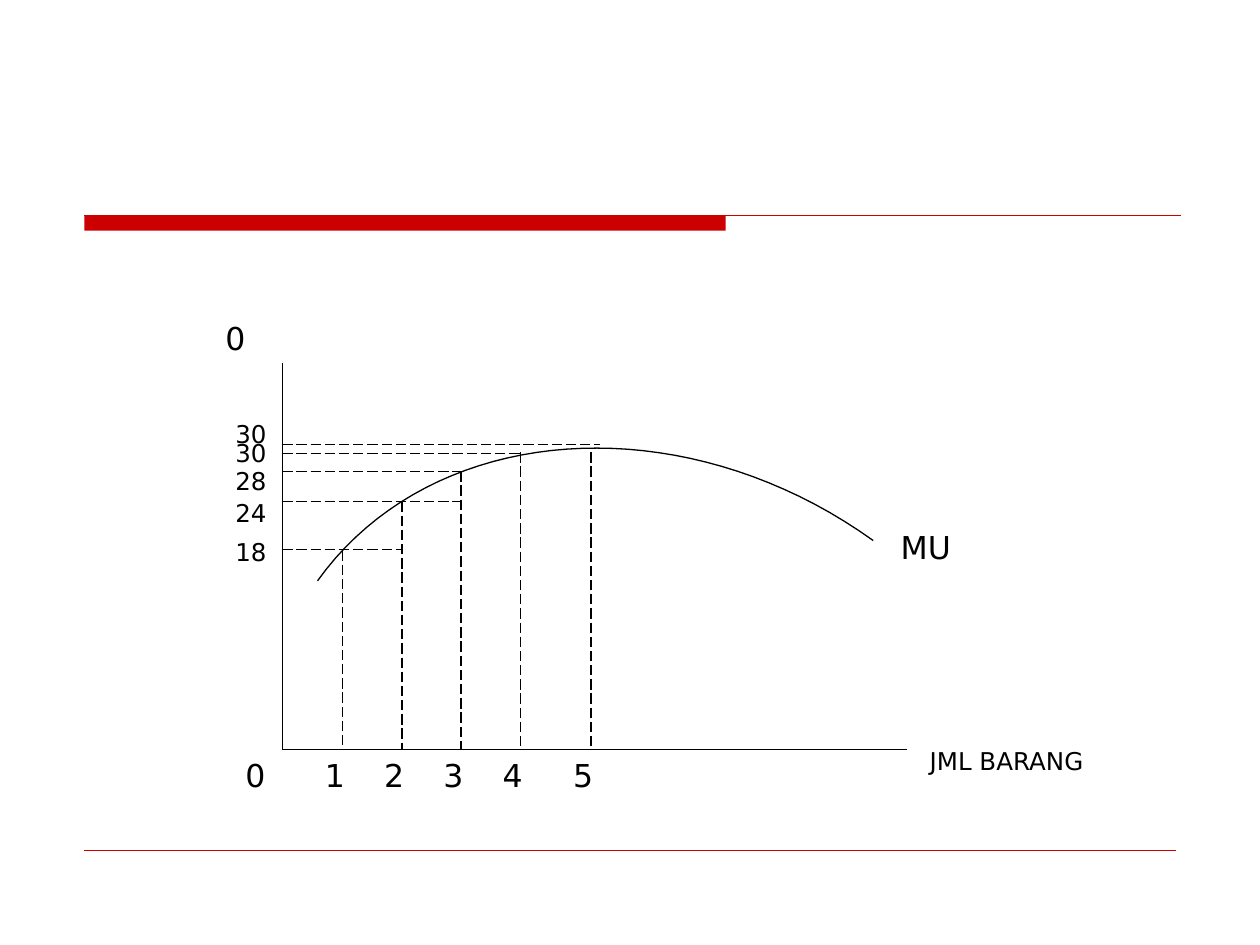
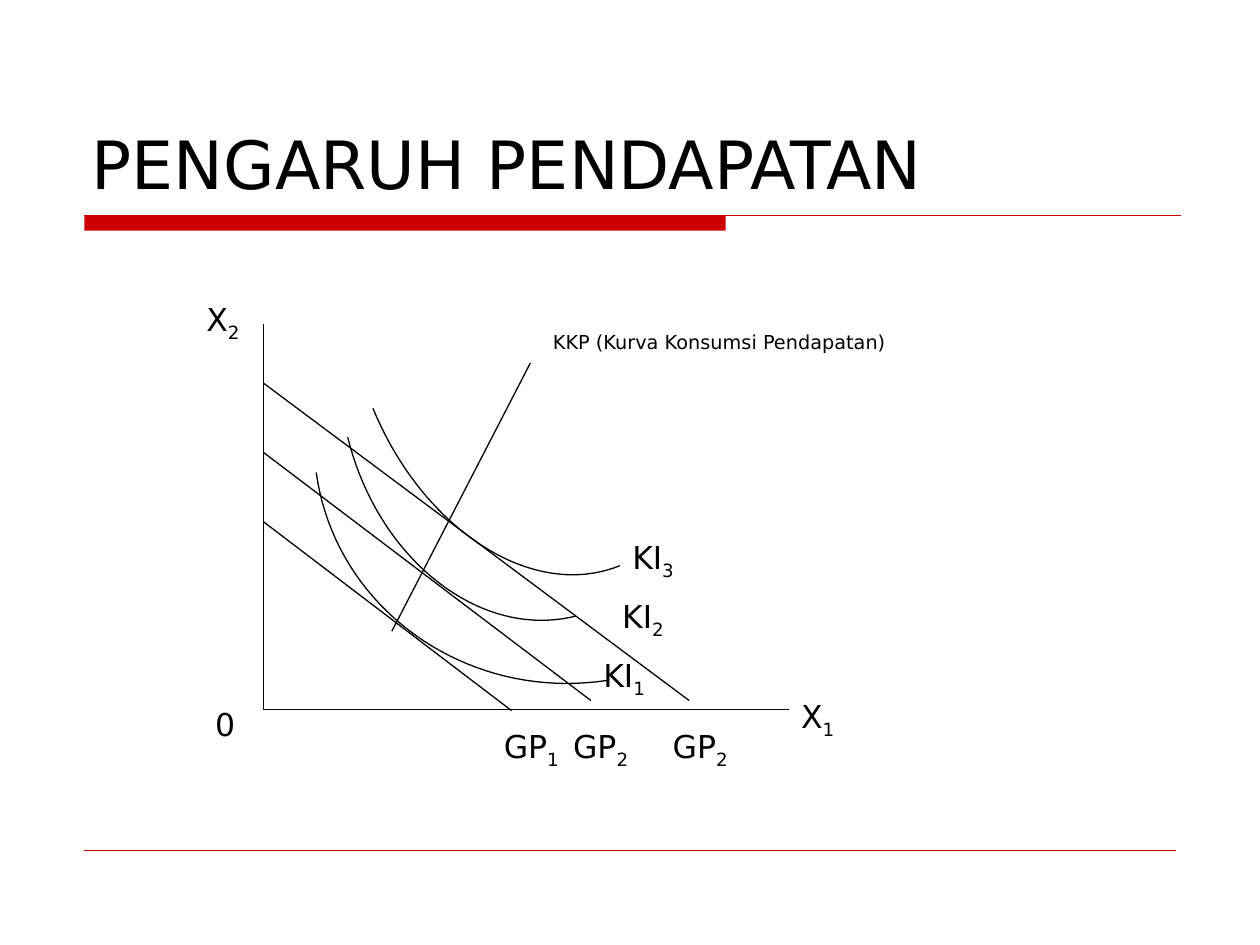
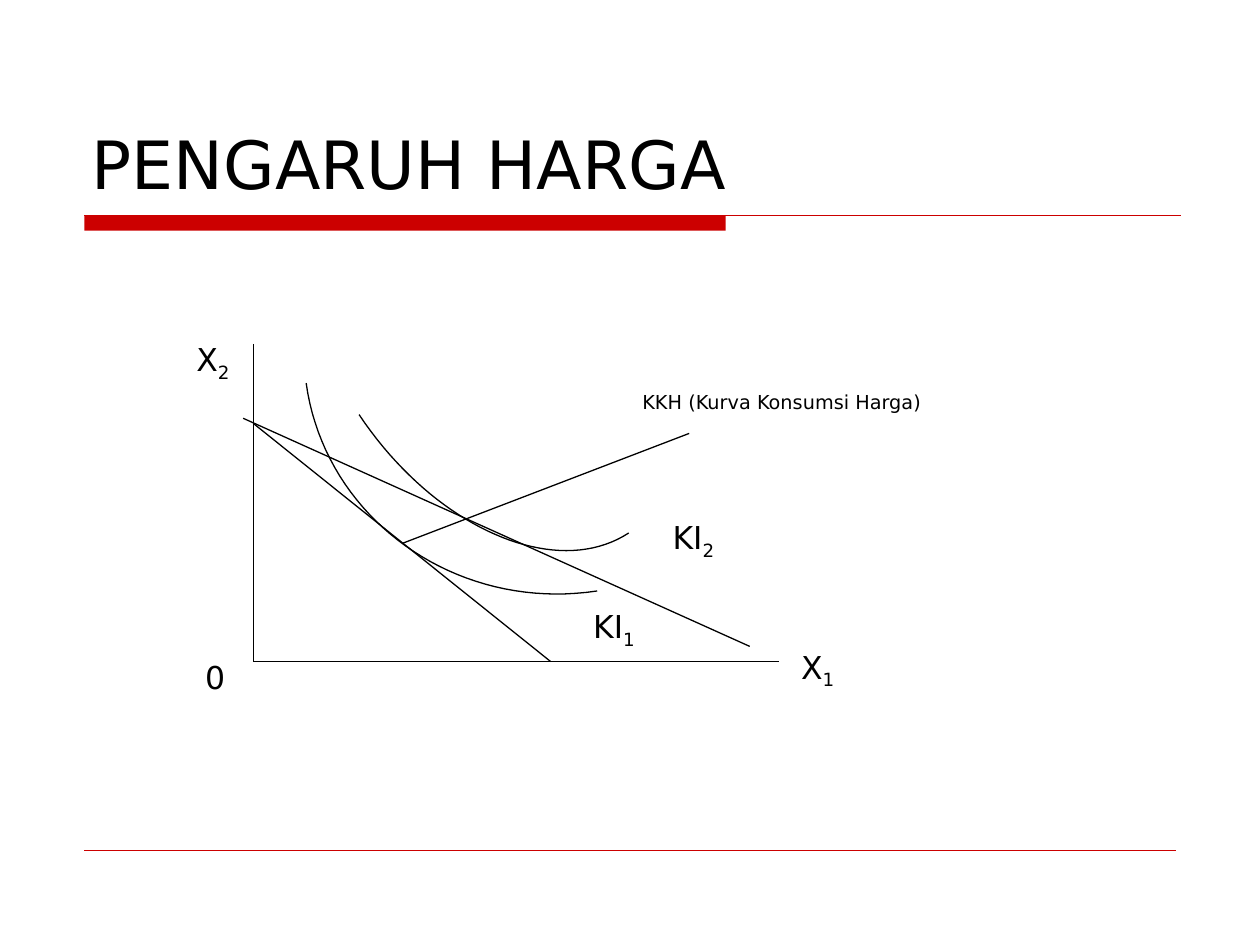
from dataclasses import dataclass
from typing import NamedTuple

import lxml.etree
import pptx
import pptx.dml.color
import pptx.enum.dml
import pptx.enum.shapes
import pptx.enum.text
import pptx.oxml.ns
import pptx.presentation
import pptx.slide
import pptx.util
from pptx.util import Inches

BLACK = pptx.dml.color.RGBColor(0x00, 0x00, 0x00)
RED = pptx.dml.color.RGBColor(0xCC, 0x00, 0x00)
FONT = "DejaVu Sans"
LABEL_SIZE, VALUE_SIZE, NOTE_SIZE, TITLE_SIZE = 18, 14, 11, 38
CURVE_STEPS = 40


class Point(NamedTuple):
    x: float
    y: float


class Segment(NamedTuple):
    start: Point
    end: Point


class Curve(NamedTuple):
    start: Point
    start_control: Point
    end_control: Point
    end: Point

    def at(self, t: float) -> Point:
        weights = ((1 - t) ** 3, 3 * t * (1 - t) ** 2, 3 * t**2 * (1 - t), t**3)
        return Point(
            sum(w * p.x for w, p in zip(weights, self)),
            sum(w * p.y for w, p in zip(weights, self)),
        )


@dataclass
class Label:
    text: str
    left: float
    top: float
    width: float = 0.63
    height: float = 0.44
    size: float = LABEL_SIZE


@dataclass
class Consumption:
    quantity: str
    x: float
    drop_top: float
    utility: str
    level: float
    level_end: float
    utility_top: float


@dataclass
class Diagram:
    title: str
    origin: Point
    axis_top: float
    axis_right: float
    segments: list[Segment]
    curves: list[Curve]
    labels: list[Label]


CONSUMPTIONS = [
    Consumption("1", 2.72, 4.37, "18", 4.36, 3.19, 4.21),
    Consumption("2", 3.19, 3.98, "24", 3.98, 3.66, 3.9),
    Consumption("3", 3.66, 3.74, "28", 3.74, 3.66, 3.65),
    Consumption("4", 4.13, 3.59, "30", 3.6, 4.13, 3.43),
    Consumption("5", 4.69, 3.59, "30", 3.53, 4.76, 3.28),
]

MARGINAL_UTILITY = Diagram(
    title="",
    origin=Point(2.24, 5.95),
    axis_top=2.88,
    axis_right=7.2,
    segments=[],
    curves=[Curve(Point(6.93, 4.29), Point(5.41, 3.2), Point(3.43, 3.34), Point(2.52, 4.61))],
    labels=[
        Label("0", 1.69, 2.48, 0.47, 0.4),
        Label("0", 1.85, 5.95, 0.47, 0.4),
        Label("MU", 7.05, 4.14, height=0.4),
        Label("JML BARANG", 7.28, 5.87, 1.5, 0.34, VALUE_SIZE),
    ],
)

INCOME_EFFECT = Diagram(
    title="PENGARUH PENDAPATAN",
    origin=Point(2.09, 5.63),
    axis_top=2.57,
    axis_right=6.26,
    segments=[
        Segment(Point(3.11, 5.01), Point(4.21, 2.88)),
        Segment(Point(2.09, 4.14), Point(4.06, 5.64)),
        Segment(Point(2.09, 3.59), Point(4.69, 5.56)),
        Segment(Point(2.09, 3.04), Point(5.47, 5.56)),
    ],
    curves=[
        Curve(Point(4.82, 5.4), Point(3.7, 5.57), Point(2.66, 4.83), Point(2.51, 3.75)),
        Curve(Point(4.57, 4.89), Point(3.81, 5.08), Point(3, 4.44), Point(2.76, 3.47)),
        Curve(Point(4.92, 4.49), Point(4.23, 4.77), Point(3.36, 4.21), Point(2.96, 3.24)),
    ],
    labels=[
        Label("X_2", 1.54, 2.33),
        Label("0", 1.61, 5.55, height=0.4),
        Label("X_1", 6.26, 5.48),
        Label("KKP (Kurva Konsumsi Pendapatan)", 4.29, 2.57, 2.97, 0.29, NOTE_SIZE),
        Label("KI_1", 4.69, 5.16),
        Label("KI_2", 4.84, 4.69),
        Label("KI_3", 4.92, 4.22),
        Label("GP_1", 3.9, 5.72, 0.79),
        Label("GP_2", 4.45, 5.72, 0.79),
        Label("GP_2", 5.24, 5.72, 0.79),
    ],
)

PRICE_EFFECT = Diagram(
    title="PENGARUH HARGA",
    origin=Point(2.01, 5.25),
    axis_top=2.73,
    axis_right=6.18,
    segments=[
        Segment(Point(2.01, 3.36), Point(4.37, 5.25)),
        Segment(Point(1.93, 3.32), Point(5.95, 5.13)),
        Segment(Point(3.2, 4.31), Point(5.47, 3.44)),
    ],
    curves=[
        Curve(Point(4.74, 4.69), Point(3.62, 4.86), Point(2.58, 4.12), Point(2.43, 3.04)),
        Curve(Point(4.99, 4.23), Point(4.41, 4.61), Point(3.45, 4.19), Point(2.85, 3.29)),
    ],
    labels=[
        Label("X_2", 1.46, 2.65),
        Label("0", 1.53, 5.17, height=0.4),
        Label("X_1", 6.26, 5.09),
        Label("KKH (Kurva Konsumsi Harga)", 5, 3.05, 2.97, 0.29, NOTE_SIZE),
        Label("KI_1", 4.61, 4.77),
        Label("KI_2", 5.24, 4.06),
    ],
)


def add_text(
    slide: pptx.slide.Slide,
    text: str,
    *,
    left: float,
    top: float,
    width: float,
    height: float,
    size: float,
    anchor: pptx.enum.text.MSO_ANCHOR = pptx.enum.text.MSO_ANCHOR.TOP,
) -> None:
    box = slide.shapes.add_textbox(Inches(left), Inches(top), Inches(width), Inches(height))
    frame = box.text_frame
    frame.word_wrap = True
    frame.vertical_anchor = anchor
    base, _, subscript = text.partition("_")
    for part, offset in ((base, 0), (subscript, -25000)):
        if not part:
            continue
        run = frame.paragraphs[0].add_run()
        run.text = part
        run.font.name = FONT
        run.font.size = pptx.util.Pt(size)
        run.font.color.rgb = BLACK
        if offset:
            run._r.get_or_add_rPr().set("baseline", str(offset))


def add_label(slide: pptx.slide.Slide, label: Label) -> None:
    add_text(
        slide,
        label.text,
        left=label.left,
        top=label.top,
        width=label.width,
        height=label.height,
        size=label.size,
    )


def add_segment(
    slide: pptx.slide.Slide,
    segment: Segment,
    color: pptx.dml.color.RGBColor = BLACK,
    weight: float = 0.75,
    dashed: bool = False,
) -> None:
    connector = slide.shapes.add_connector(
        pptx.enum.shapes.MSO_CONNECTOR.STRAIGHT,
        *(Inches(value) for point in segment for value in point),
    )
    connector.line.color.rgb = color
    connector.line.width = pptx.util.Pt(weight)
    if dashed:
        connector.line.dash_style = pptx.enum.dml.MSO_LINE.LONG_DASH
    lxml.etree.SubElement(connector._element.spPr, pptx.oxml.ns.qn("a:effectLst"))


def add_curve(slide: pptx.slide.Slide, curve: Curve) -> None:
    points = [curve.at(step / CURVE_STEPS) for step in range(CURVE_STEPS + 1)]
    start, *rest = [(Inches(point.x), Inches(point.y)) for point in points]
    builder = slide.shapes.build_freeform(*start)
    builder.add_line_segments(rest, close=False)
    outline = builder.convert_to_shape()
    outline.shadow.inherit = False
    outline.fill.background()
    outline.line.color.rgb = BLACK
    outline.line.width = pptx.util.Pt(0.75)


def add_frame(slide: pptx.slide.Slide) -> None:
    band = slide.shapes.add_shape(
        pptx.enum.shapes.MSO_SHAPE.RECTANGLE,
        Inches(0.67),
        Inches(1.71),
        Inches(5.09),
        Inches(0.12),
    )
    band.shadow.inherit = False
    band.fill.solid()
    band.fill.fore_color.rgb = RED
    band.line.fill.background()
    add_segment(slide, Segment(Point(0.67, 1.71), Point(9.37, 1.71)), RED)
    add_segment(slide, Segment(Point(0.67, 6.75), Point(9.33, 6.75)), RED, 0.25)


def add_diagram(presentation: pptx.presentation.Presentation, diagram: Diagram) -> pptx.slide.Slide:
    slide = presentation.slides.add_slide(presentation.slide_layouts[6])
    add_frame(slide)
    if diagram.title:
        add_text(
            slide,
            diagram.title,
            left=0.63,
            top=0.33,
            width=8.75,
            height=1.33,
            size=TITLE_SIZE,
            anchor=pptx.enum.text.MSO_ANCHOR.BOTTOM,
        )
    axes = [
        Segment(Point(diagram.origin.x, diagram.axis_top), diagram.origin),
        Segment(diagram.origin, Point(diagram.axis_right, diagram.origin.y)),
    ]
    for segment in axes + diagram.segments:
        add_segment(slide, segment)
    for curve in diagram.curves:
        add_curve(slide, curve)
    for label in diagram.labels:
        add_label(slide, label)
    return slide


def add_consumption(slide: pptx.slide.Slide, item: Consumption, origin: Point) -> None:
    drop = Segment(Point(item.x, item.drop_top), Point(item.x, origin.y))
    level = Segment(Point(origin.x, item.level), Point(item.level_end, item.level))
    for guide in (drop, level):
        add_segment(slide, guide, dashed=True)
    add_label(slide, Label(item.quantity, item.x - 0.24, origin.y, 0.47, 0.4))
    add_label(slide, Label(item.utility, origin.x - 0.47, item.utility_top, 0.47, 0.34, VALUE_SIZE))


def main() -> None:
    presentation = pptx.Presentation()
    presentation.slide_width = Inches(10)
    presentation.slide_height = Inches(7.5)
    utility_slide = add_diagram(presentation, MARGINAL_UTILITY)
    for item in CONSUMPTIONS:
        add_consumption(utility_slide, item, MARGINAL_UTILITY.origin)
    for diagram in (INCOME_EFFECT, PRICE_EFFECT):
        add_diagram(presentation, diagram)
    presentation.save("out.pptx")


if __name__ == "__main__":
    main()
